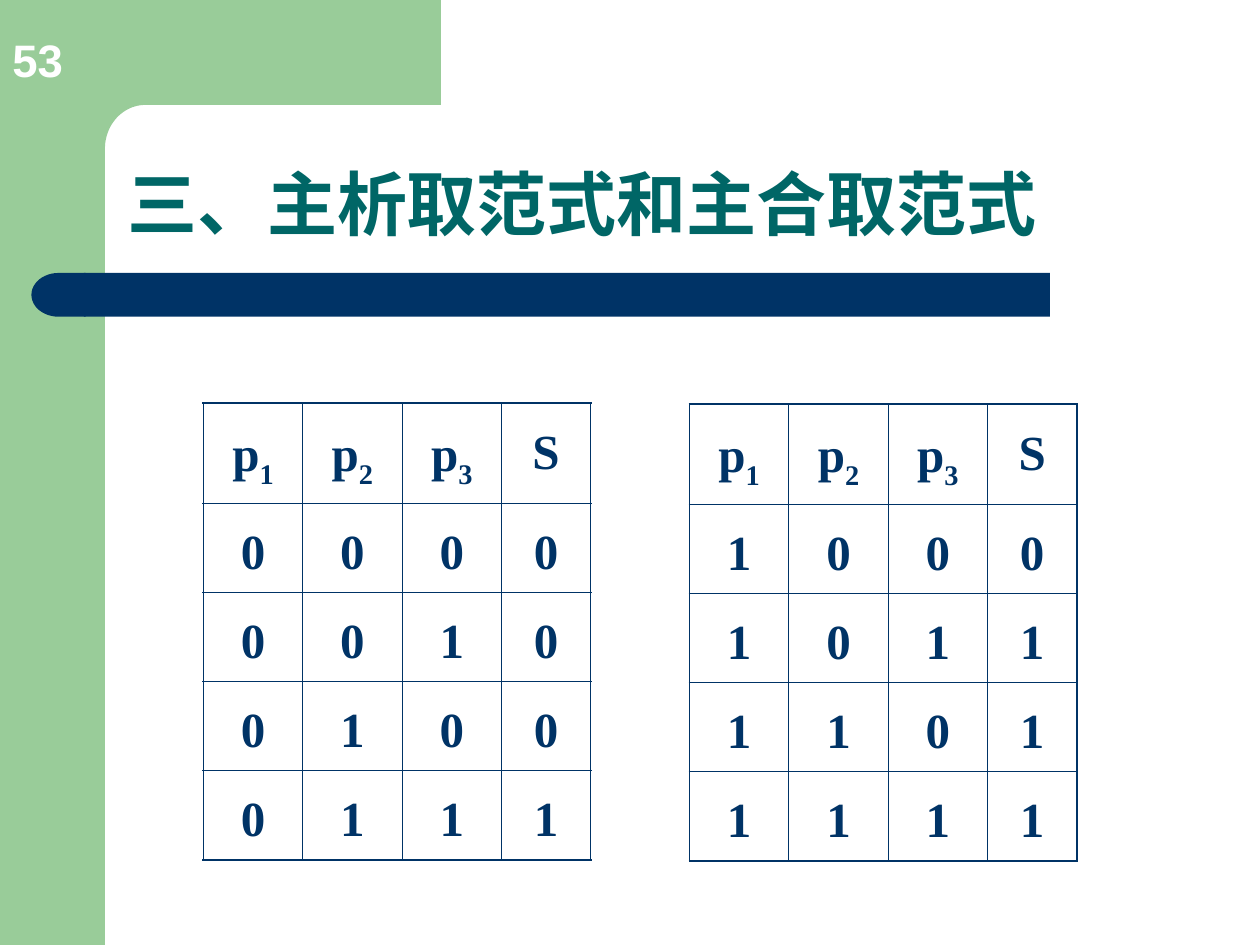
from dataclasses import dataclass
from math import cos, pi, sin

from lxml.etree import SubElement
from pptx import Presentation
from pptx.dml.color import RGBColor
from pptx.enum.shapes import MSO_SHAPE
from pptx.enum.text import MSO_ANCHOR, MSO_AUTO_SIZE, PP_ALIGN
from pptx.oxml.ns import qn
from pptx.shapes.autoshape import Shape
from pptx.slide import Slide
from pptx.table import _Cell
from pptx.text.text import _Paragraph
from pptx.util import Pt


@dataclass(frozen=True)
class Theme:
    green: str = "99CC99"
    navy: str = "003366"
    teal: str = "006666"
    white: str = "FFFFFF"
    serif: str = "Times New Roman"
    sans: str = "Arial"
    title_size: float = 40
    number_size: float = 26
    cell_size: float = 28
    outer_line: float = 1.08
    inner_line: float = 0.45


@dataclass(frozen=True)
class Box:
    left: float
    top: float
    width: float
    height: float

    def lengths(self) -> tuple[Pt, Pt, Pt, Pt]:
        return Pt(self.left), Pt(self.top), Pt(self.width), Pt(self.height)


@dataclass(frozen=True)
class TruthTable:
    left: float
    top: float
    rows: tuple[str, ...]


THEME = Theme()
HEADER = ("p1", "p2", "p3", "S")
COLUMN_WIDTHS = (56.8, 56.8, 56.8, 51)
ROW_HEIGHTS = (57, 51, 51, 51, 51)
TRUTH_TABLES = (
    TruthTable(116.2, 230.4, ("0000", "0010", "0100", "0111")),
    TruthTable(394, 231, ("1000", "1011", "1101", "1111")),
)


def fill_plain(shape: Shape, color: str) -> None:
    shape.shadow.inherit = False
    shape.fill.solid()
    shape.fill.fore_color.rgb = RGBColor.from_string(color)
    shape.line.fill.background()


def add_block(page: Slide, kind: MSO_SHAPE, box: Box, color: str) -> Shape:
    shape = page.shapes.add_shape(kind, *box.lengths())
    fill_plain(shape, color)
    return shape


def add_corner(page: Slide) -> None:
    """Draw the green band along the top with its rounded inner corner."""
    center_x, center_y, radius_x, radius_y, steps = 83, 85, 23, 25, 24
    angles = [pi / 2 * step / steps for step in range(steps + 1)]
    arc = [
        (center_x - radius_x * sin(angle), center_y - radius_y * cos(angle))
        for angle in angles
    ]
    outline = [(252, 0), (252, 60), *arc, (60, 92), (36, 92), (36, 0)]
    points = [(Pt(x), Pt(y)) for x, y in outline]
    builder = page.shapes.build_freeform(*points[0])
    builder.add_line_segments(points[1:], close=True)
    fill_plain(builder.convert_to_shape(), THEME.green)


def set_font(paragraph: _Paragraph, name: str, size: float, color: str) -> None:
    font = paragraph.font
    font.name, font.size, font.bold = name, Pt(size), True
    font.color.rgb = RGBColor.from_string(color)


def add_title(page: Slide, text: str) -> None:
    title = page.shapes.title
    title.left, title.top, title.width, title.height = Box(65.5, 65.5, 612.7, 78.5).lengths()
    frame = title.text_frame
    frame.text = text
    frame.auto_size = MSO_AUTO_SIZE.NONE
    frame.vertical_anchor = MSO_ANCHOR.BOTTOM
    paragraph = frame.paragraphs[0]
    paragraph.alignment = PP_ALIGN.LEFT
    paragraph.line_spacing = 0.9
    set_font(paragraph, THEME.serif, THEME.title_size, THEME.teal)


def add_page_number(page: Slide, text: str) -> None:
    frame = page.shapes.add_textbox(*Box(0, 15, 81.4, 38.2).lengths()).text_frame
    frame.word_wrap = True
    frame.vertical_anchor = MSO_ANCHOR.BOTTOM
    frame.text = text
    set_font(frame.paragraphs[0], THEME.sans, THEME.number_size, THEME.white)


def set_border(cell: _Cell, side: str, width: float) -> None:
    line = SubElement(cell._tc.get_or_add_tcPr(), qn(f"a:ln{side}"), w=str(Pt(width)))
    color = SubElement(SubElement(line, qn("a:solidFill")), qn("a:srgbClr"))
    color.set("val", THEME.navy)


def write_cell(cell: _Cell, text: str) -> None:
    """Write one symbol; any second character becomes its subscript."""
    paragraph = cell.text_frame.paragraphs[0]
    paragraph.alignment = PP_ALIGN.CENTER
    paragraph.line_spacing = 1.3
    set_font(paragraph, THEME.serif, THEME.cell_size, THEME.navy)
    paragraph.add_run().text = text[0]
    if text[1:]:
        span = paragraph.add_run()
        span.text = text[1:]
        span.font._element.set("baseline", "-25000")


def add_truth_table(page: Slide, truth: TruthTable) -> None:
    content = (HEADER, *truth.rows)
    box = Box(truth.left, truth.top, sum(COLUMN_WIDTHS), sum(ROW_HEIGHTS))
    table = page.shapes.add_table(len(content), len(HEADER), *box.lengths()).table
    table.first_row = table.horz_banding = False
    for column, width in zip(table.columns, COLUMN_WIDTHS):
        column.width = Pt(width)
    for row, height in zip(table.rows, ROW_HEIGHTS):
        row.height = Pt(height)
    last_row, last_column = len(content) - 1, len(HEADER) - 1
    for row, symbols in enumerate(content):
        for column, symbol in enumerate(symbols):
            cell = table.cell(row, column)
            write_cell(cell, symbol)
            outer_sides = {
                "L": column == 0,
                "R": column == last_column,
                "T": row == 0,
                "B": row == last_row,
            }
            for side, is_outer in outer_sides.items():
                set_border(cell, side, THEME.outer_line if is_outer else THEME.inner_line)
            cell.fill.background()


def main() -> None:
    deck = Presentation()
    deck.slide_width, deck.slide_height = Pt(720), Pt(540)
    page = deck.slides.add_slide(deck.slide_layouts[5])
    add_block(page, MSO_SHAPE.RECTANGLE, Box(0, 0, 60, 540), THEME.green)
    add_corner(page)
    add_block(page, MSO_SHAPE.RECTANGLE, Box(48, 156, 552, 25), THEME.navy)
    cap = add_block(page, MSO_SHAPE.FLOWCHART_DELAY, Box(18, 156, 31, 25), THEME.navy)
    cap._element.spPr.xfrm.set("flipH", "1")
    add_title(page, "三、主析取范式和主合取范式")
    for truth in TRUTH_TABLES:
        add_truth_table(page, truth)
    add_page_number(page, "53")
    deck.save("out.pptx")


if __name__ == "__main__":
    main()
